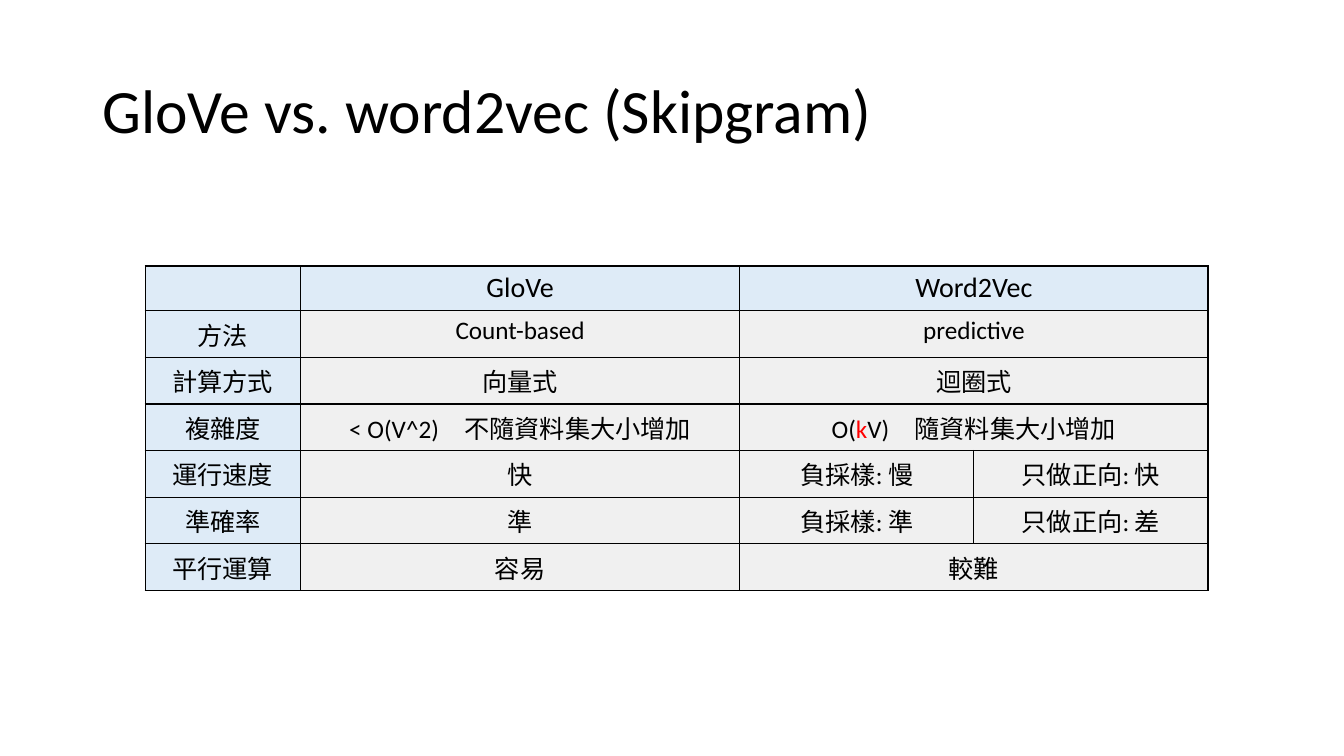
from lxml.etree import SubElement
from pptx import Presentation
from pptx.dml.color import RGBColor
from pptx.enum.text import MSO_ANCHOR, PP_ALIGN
from pptx.oxml.ns import qn
from pptx.util import Pt

COLORS = {"text": "000000", "accent": "FF0000", "border": "000000",
          "heading": "DEEBF7", "body": "F0F0F0"}
FONT = "Calibri"
TITLE = "GloVe vs. word2vec (Skipgram)"
# A cell is a string, or a list of (text, color) runs; a row of three merges its last two columns.
COMPARISON = [
    ["", "GloVe", "Word2Vec"],
    ["方法", "Count-based", "predictive"],
    ["計算方式", "向量式", "迴圈式"],
    ["複雜度", "< O(V^2)　不隨資料集大小增加",
     [("O(", "text"), ("k", "accent"), ("V)　隨資料集大小增加", "text")]],
    ["運行速度", "快", "負採樣: 慢", "只做正向: 快"],
    ["準確率", "準", "負採樣: 準", "只做正向: 差"],
    ["平行運算", "容易", "較難"],
]
TITLE_BOX = (66, 28.8, 828, 104.4)
TABLE_LEFT, TABLE_TOP = 103.7, 190
COLUMN_WIDTHS = [110.9, 313.9, 167.2, 167.2]
HEADER_HEIGHT, ROW_HEIGHT = 32, 33.3
HEADER_SIZE, BODY_SIZE, TITLE_SIZE = 20, 18, 44
BORDER_WIDTH = 1


def add_runs(paragraph, content, size):
    runs = [(content, "text")] if isinstance(content, str) else content
    for text, color in runs:
        run = paragraph.add_run()
        run.text = text
        for name, value in {"name": FONT, "size": Pt(size), "bold": False}.items():
            setattr(run.font, name, value)
        run.font.color.rgb = RGBColor.from_string(COLORS[color])


def add_borders(cell):
    properties = cell._tc.get_or_add_tcPr()
    for side in ("lnL", "lnR", "lnT", "lnB"):
        line = SubElement(properties, qn(f"a:{side}"), w=str(Pt(BORDER_WIDTH)))
        SubElement(SubElement(line, qn("a:solidFill")), qn("a:srgbClr"), val=COLORS["border"])


def add_title(slide):
    frame = slide.shapes.add_textbox(*map(Pt, TITLE_BOX)).text_frame
    frame.word_wrap = True
    frame.vertical_anchor = MSO_ANCHOR.MIDDLE
    frame.paragraphs[0].line_spacing = 0.9
    add_runs(frame.paragraphs[0], TITLE, TITLE_SIZE)


def add_comparison(slide):
    row_heights = [HEADER_HEIGHT] + [ROW_HEIGHT] * (len(COMPARISON) - 1)
    table = slide.shapes.add_table(
        len(row_heights), len(COLUMN_WIDTHS), Pt(TABLE_LEFT), Pt(TABLE_TOP),
        Pt(sum(COLUMN_WIDTHS)), Pt(sum(row_heights))).table
    table.first_row = table.horz_banding = False
    for column, width in zip(table.columns, COLUMN_WIDTHS):
        column.width = Pt(width)
    for r, (contents, height) in enumerate(zip(COMPARISON, row_heights)):
        table.rows[r].height = Pt(height)
        for c in range(len(COLUMN_WIDTHS)):
            cell = table.cell(r, c)
            add_borders(cell)
            cell.fill.solid()
            fill = "heading" if r == 0 or c == 0 else "body"
            cell.fill.fore_color.rgb = RGBColor.from_string(COLORS[fill])
            if c < len(contents) and contents[c]:
                paragraph = cell.text_frame.paragraphs[0]
                paragraph.alignment = PP_ALIGN.CENTER
                add_runs(paragraph, contents[c], BODY_SIZE if r else HEADER_SIZE)
        if len(contents) < len(COLUMN_WIDTHS):
            table.cell(r, len(contents) - 1).merge(table.cell(r, len(COLUMN_WIDTHS) - 1))


def main():
    presentation = Presentation()
    presentation.slide_width, presentation.slide_height = Pt(960), Pt(540)
    slide = presentation.slides.add_slide(presentation.slide_layouts[6])
    add_title(slide)
    add_comparison(slide)
    presentation.save("out.pptx")


if __name__ == "__main__":
    main()
